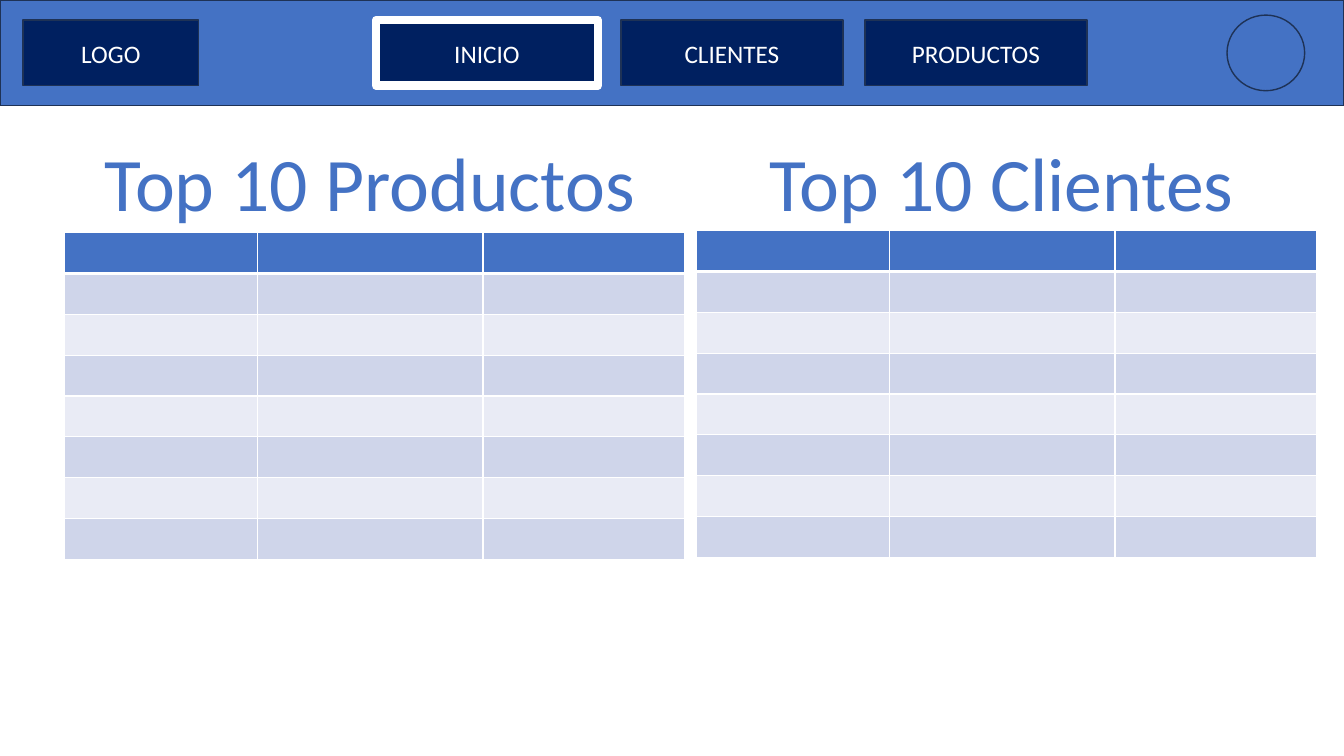
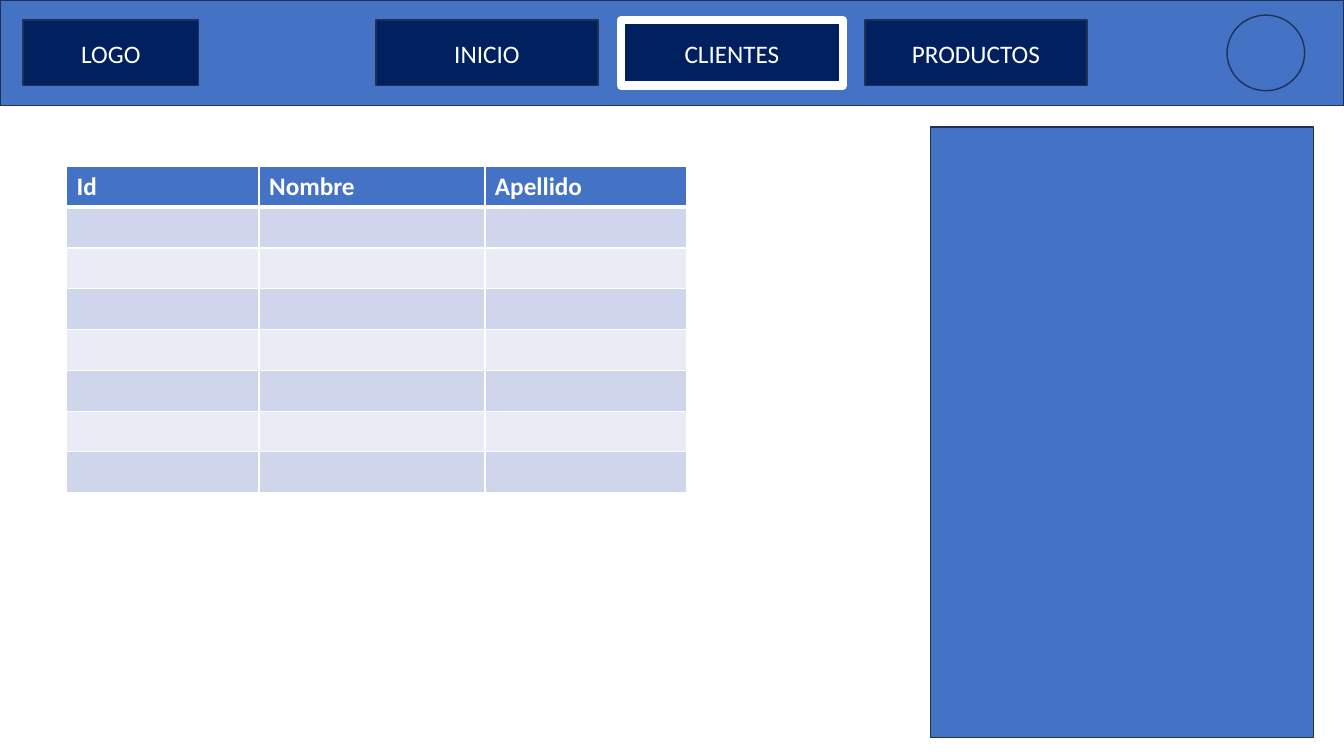
from lxml.etree import SubElement
from pptx import Presentation
from pptx.dml.color import RGBColor
from pptx.enum.shapes import MSO_SHAPE
from pptx.enum.text import MSO_ANCHOR, MSO_AUTO_SIZE, PP_ALIGN
from pptx.oxml.ns import qn
from pptx.util import Inches, Pt

BLUE = RGBColor(0x44, 0x72, 0xC4)
NAVY = RGBColor(0x00, 0x20, 0x60)
OUTLINE = RGBColor(0x1E, 0x32, 0x56)
WHITE = RGBColor(0xFF, 0xFF, 0xFF)
BAND_DARK = RGBColor(0xCF, 0xD5, 0xEA)
BAND_LIGHT = RGBColor(0xE9, 0xEB, 0xF5)
FONT = "Calibri"

BUTTONS = [("LOGO", 0.23, 1.74), ("INICIO", 3.73, 2.2),
           ("CLIENTES", 6.16, 2.2), ("PRODUCTOS", 8.58, 2.2)]
COLUMN_WIDTHS = [1.91, 2.24, 2.0]
ROW_COUNT = 8


def add_block(page, kind, left, top, width, height, fill=BLUE, line=OUTLINE, weight=1):
    block = page.shapes.add_shape(kind, Inches(left), Inches(top), Inches(width), Inches(height))
    block.shadow.inherit = False
    block.fill.solid()
    block.fill.fore_color.rgb = fill
    block.line.color.rgb = line
    block.line.width = Pt(weight)
    return block


def add_grid(page, left, top, headers=()):
    grid = page.shapes.add_table(ROW_COUNT, len(COLUMN_WIDTHS), Inches(left), Inches(top),
                                 Inches(sum(COLUMN_WIDTHS)), Inches(3.24)).table
    for column, width in zip(grid.columns, COLUMN_WIDTHS):
        column.width = Inches(width)
    for row_index, row in enumerate(grid.rows):
        for cell in row.cells:
            # White borders, with a thicker rule under the header
            weights = {"lnL": 1, "lnR": 1, "lnT": 3 if row_index == 1 else 1,
                       "lnB": 3 if row_index == 0 else 1}
            properties = cell._tc.get_or_add_tcPr()
            for side, weight in weights.items():
                border = SubElement(properties, qn(f"a:{side}"), w=str(Pt(weight)))
                paint = SubElement(border, qn("a:solidFill"))
                SubElement(paint, qn("a:srgbClr"), val=str(WHITE))
            cell.fill.solid()
            if row_index == 0:
                cell.fill.fore_color.rgb = BLUE
            else:
                cell.fill.fore_color.rgb = BAND_DARK if row_index % 2 else BAND_LIGHT
    for cell, header in zip(grid.rows[0].cells, headers):
        cell.text_frame.text = header
        font = cell.text_frame.paragraphs[0].runs[0].font
        font.name, font.size, font.bold = FONT, Pt(18), True
        font.color.rgb = WHITE


deck = Presentation()
deck.slide_width = Inches(13.33)
deck.slide_height = Inches(7.5)
home = deck.slides.add_slide(deck.slide_layouts[5])
clients = deck.slides.add_slide(deck.slide_layouts[6])

# Navigation bar, with the current section framed in white
for page, current in [(home, "INICIO"), (clients, "CLIENTES")]:
    add_block(page, MSO_SHAPE.RECTANGLE, 0, 0, 13.33, 1.05)
    for label, left, width in BUTTONS:
        line, weight = (WHITE, 6) if label == current else (OUTLINE, 1)
        button = add_block(page, MSO_SHAPE.RECTANGLE, left, 0.2, width, 0.65, NAVY, line, weight)
        button.text_frame.text = label
        button.text_frame.vertical_anchor = MSO_ANCHOR.MIDDLE
        paragraph = button.text_frame.paragraphs[0]
        paragraph.alignment = PP_ALIGN.CENTER
        font = paragraph.runs[0].font
        font.name, font.size = FONT, Pt(18)
        font.color.rgb = WHITE
    add_block(page, MSO_SHAPE.OVAL, 12.17, 0.15, 0.77, 0.75)

# Home: two ranking tables under their headings
clients_heading = home.shapes.add_textbox(0, 0, 0, 0)
for heading, text, left, width in [(home.shapes.title, "Top 10 Productos", 0.91, 5.52),
                                   (clients_heading, "Top 10 Clientes", 7.51, 4.85)]:
    heading.left, heading.top = Inches(left), Inches(1.3)
    heading.width, heading.height = Inches(width), Inches(1.01)
    frame = heading.text_frame
    frame.text = text
    frame.word_wrap = False
    frame.auto_size = MSO_AUTO_SIZE.SHAPE_TO_FIT_TEXT
    frame.vertical_anchor = MSO_ANCHOR.TOP
    frame.paragraphs[0].alignment = PP_ALIGN.CENTER
    font = frame.paragraphs[0].runs[0].font
    font.name, font.size = FONT, Pt(54)
    font.color.rgb = BLUE
add_grid(home, 0.64, 2.31)
add_grid(home, 6.91, 2.29)

# Clients: list and side panel
add_grid(clients, 0.66, 1.65, ["Id", "Nombre", "Apellido"])
add_block(clients, MSO_SHAPE.RECTANGLE, 9.23, 1.26, 3.8, 6.06)

deck.save("out.pptx")
